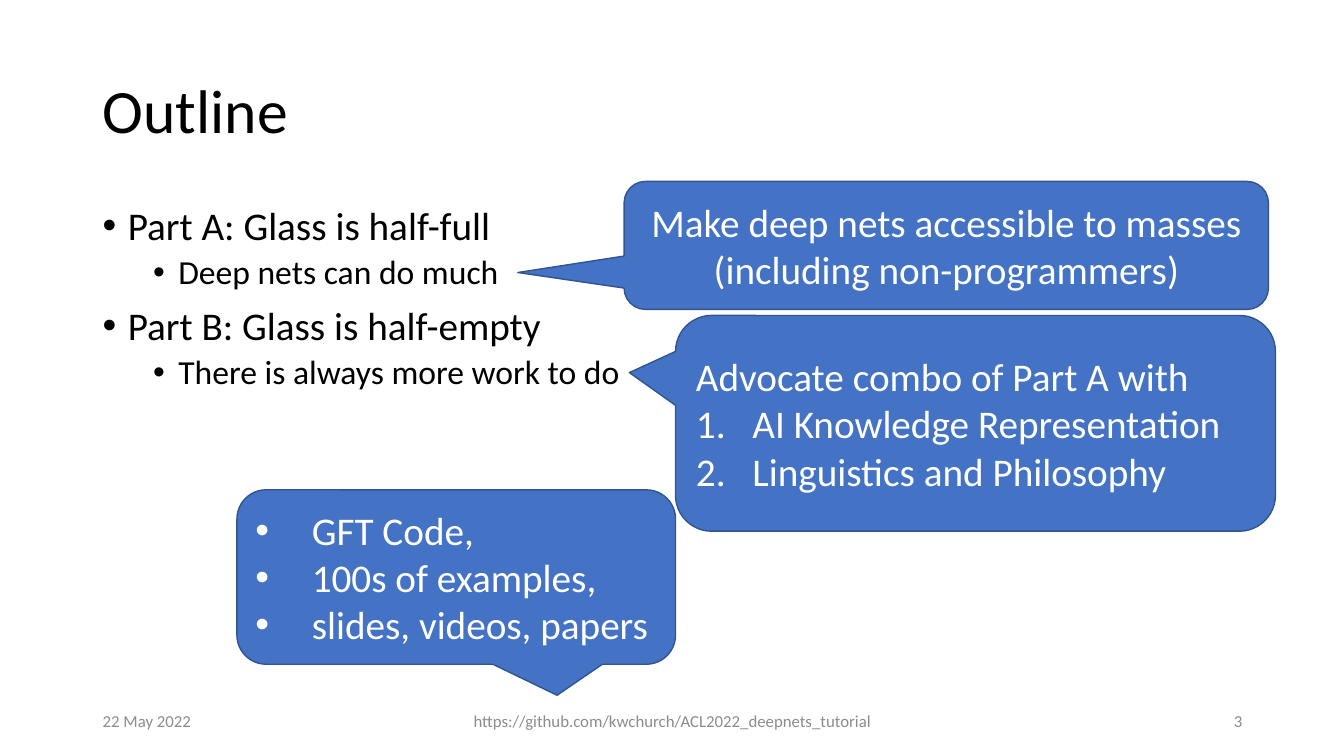
from lxml import etree
from pptx import Presentation
from pptx.dml.color import RGBColor
from pptx.enum import shapes, text
from pptx.oxml.ns import qn
from pptx.util import Inches, Pt

FONT = "Calibri"
BLACK = RGBColor(0x00, 0x00, 0x00)
WHITE = RGBColor(0xFF, 0xFF, 0xFF)
GRAY = RGBColor(0x8C, 0x8C, 0x8C)
BLUE = RGBColor(0x44, 0x72, 0xC4)
DARK_BLUE = RGBColor(0x32, 0x54, 0x91)
LEFT, CENTER, RIGHT = text.PP_ALIGN.LEFT, text.PP_ALIGN.CENTER, text.PP_ALIGN.RIGHT
MIDDLE = text.MSO_ANCHOR.MIDDLE


def format_paragraph(p, size, color, align=LEFT):
    p.alignment = align
    for r in p.runs:
        r.font.name = FONT
        r.font.size = Pt(size)
        r.font.color.rgb = color


def add_marker(p, marker, margin, hang):
    """Give a paragraph a hanging bullet, or a number if marker is '1.'."""
    pPr = p._p.get_or_add_pPr()
    pPr.set("marL", str(Inches(margin)))
    pPr.set("indent", str(-Inches(hang)))
    if marker == "1.":
        etree.SubElement(pPr, qn("a:buFont"), typeface="+mj-lt")
        etree.SubElement(pPr, qn("a:buAutoNum"), type="arabicPeriod")
    else:
        etree.SubElement(pPr, qn("a:buFont"), typeface="Arial")
        etree.SubElement(pPr, qn("a:buChar"), char=marker)


def add_paragraphs(tf, lines):
    for i, line in enumerate(lines):
        p = tf.paragraphs[0] if i == 0 else tf.add_paragraph()
        p.text = line
        yield p


def add_title(slide, title):
    sp = slide.shapes.title
    sp.left, sp.top, sp.width, sp.height = map(Inches, (0.92, 0.4, 11.5, 1.45))
    tf = sp.text_frame
    tf.text = title
    tf.auto_size = text.MSO_AUTO_SIZE.NONE
    tf.vertical_anchor = MIDDLE
    p = tf.paragraphs[0]
    p.line_spacing = 0.9
    format_paragraph(p, 44, BLACK)


def add_text_box(slide, box):
    tf = slide.shapes.add_textbox(*map(Inches, box)).text_frame
    tf.word_wrap = True
    return tf


def add_outline(slide, box, items):
    tf = add_text_box(slide, box)
    levels = [level for level, _ in items]
    lines = [line for _, line in items]
    for i, p in enumerate(add_paragraphs(tf, lines)):
        level = levels[i]
        p.level = level
        add_marker(p, "•", 0.25 + 0.5 * level, 0.25)
        p.line_spacing = 0.9
        if i:
            p.space_before = Pt(5 if level else 10)
        format_paragraph(p, 24 if level else 28, BLACK)


def add_footer(slide, left, width, line, align):
    tf = add_text_box(slide, (left, 6.95, width, 0.4))
    tf.vertical_anchor = MIDDLE
    tf.text = line
    format_paragraph(tf.paragraphs[0], 12, GRAY, align)


def add_callout(slide, box, tip, items, align=LEFT):
    """Draw a speech bubble; items are (marker, line) pairs."""
    sp = slide.shapes.add_shape(
        shapes.MSO_SHAPE.ROUNDED_RECTANGULAR_CALLOUT, *map(Inches, box))
    sp.adjustments[0], sp.adjustments[1] = tip
    sp.adjustments[2] = 0.167
    sp.shadow.inherit = False
    sp.fill.solid()
    sp.fill.fore_color.rgb = BLUE
    sp.line.color.rgb = DARK_BLUE
    sp.line.width = Pt(1)
    tf = sp.text_frame
    tf.word_wrap = True
    tf.vertical_anchor = MIDDLE
    markers = [marker for marker, _ in items]
    lines = [line for _, line in items]
    for marker, p in zip(markers, add_paragraphs(tf, lines)):
        if marker:
            add_marker(p, marker, 0.56, 0.56)
        format_paragraph(p, 28, WHITE, align)


def main():
    prs = Presentation()
    prs.slide_width, prs.slide_height = Inches(13.33), Inches(7.5)
    slide = prs.slides.add_slide(prs.slide_layouts[5])

    # Title and outline
    add_title(slide, "Outline")
    add_outline(slide, (0.92, 2, 11.5, 4.76), [
        (0, "Part A: Glass is half-full"),
        (1, "Deep nets can do much"),
        (0, "Part B: Glass is half-empty"),
        (1, "There is always more work to do"),
    ])

    # Footer
    add_footer(slide, 0.92, 3, "22 May 2022", LEFT)
    add_footer(slide, 4.42, 4.5,
               "https://github.com/kwchurch/ACL2022_deepnets_tutorial", CENTER)
    add_footer(slide, 9.42, 3, "3", RIGHT)

    # Callouts
    add_callout(slide, (6.19, 1.8, 6.39, 1.27), (-0.665, 0.212), [
        (None, "Make deep nets accessible to masses (including non-programmers)"),
    ], CENTER)
    add_callout(slide, (6.7, 3.13, 5.95, 2.14), (-0.577, -0.235), [
        (None, "Advocate combo of Part A with"),
        ("1.", "AI Knowledge Representation"),
        ("1.", "Linguistics and Philosophy"),
    ])
    add_callout(slide, (2.35, 4.86, 4.35, 1.73), (0.23, 0.678), [
        ("•", "GFT Code,"),
        ("•", "100s of examples,"),
        ("•", "slides, videos, papers"),
    ])

    prs.save("out.pptx")


if __name__ == "__main__":
    main()
